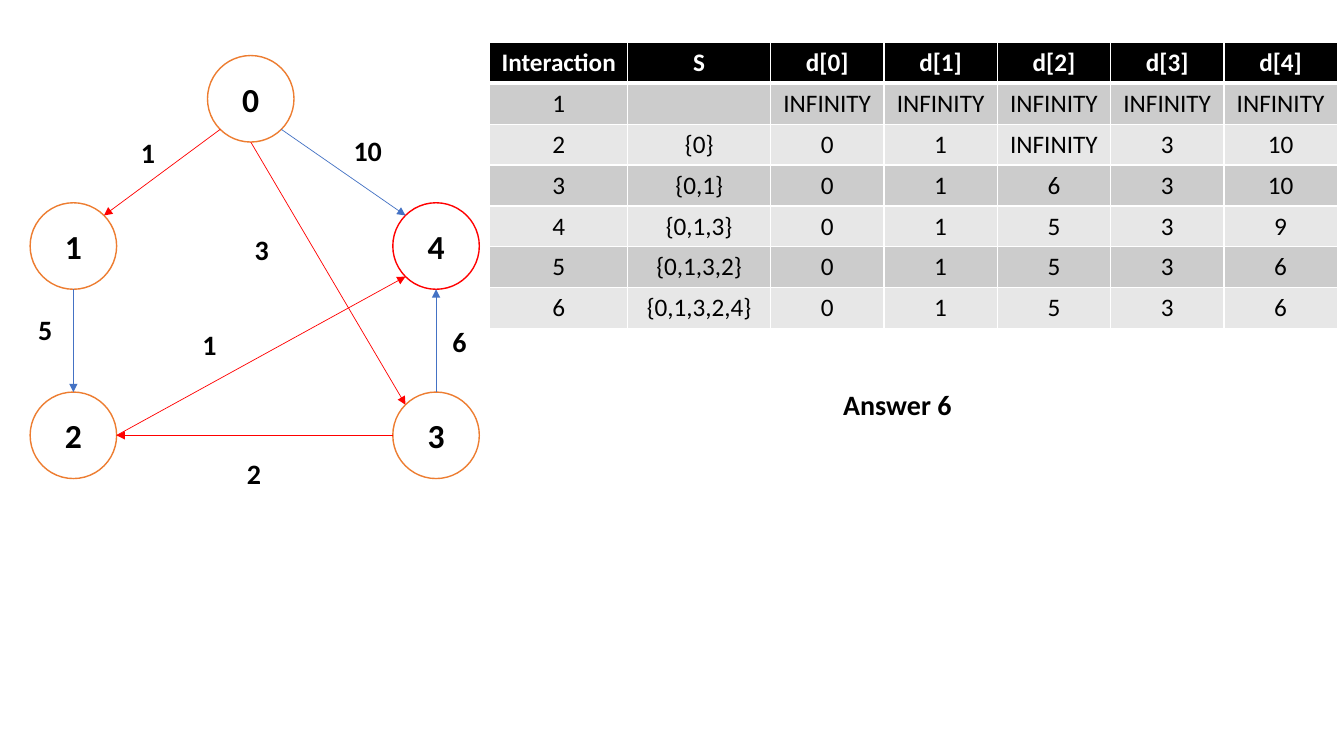
import math

import pptx
import pptx.dml.color
import pptx.enum.shapes
import pptx.enum.text
import pptx.oxml
import pptx.oxml.ns
import pptx.util
from pptx.util import Cm

COLORS = {"white": "FFFFFF", "black": "000000", "orange": "ED7D31", "red": "FF0000",
          "blue": "4472C4", "dark_band": "CCCCCC", "light_band": "E7E7E7"}
FONT = "Calibri"
ALIGN = pptx.enum.text.PP_ALIGN
ANCHOR = pptx.enum.text.MSO_ANCHOR

# Graph: node centres, edges with their end angles, and weights, in cm
RADIUS = 1.09
NODES = {"0": (5.56, 1.09, "orange"), "1": (1.09, 4.8, "orange"), "4": (10.23, 4.8, "red"),
         "2": (1.09, 9.57, "orange"), "3": (10.23, 9.57, "orange")}
EDGES = [("0", 135, "1", -45, "red"), ("0", 45, "4", -135, "blue"),
         ("1", 90, "2", -90, "blue"), ("2", 0, "4", 135, "red"),
         ("0", 90, "3", -135, "red"), ("3", 180, "2", 0, "red"),
         ("3", -90, "4", 90, "blue")]
WEIGHTS = [("1", 2.54, 1.9), ("10", 7.9, 1.85), ("3", 5.41, 4.34), ("5", -0.05, 6.35),
           ("1", 4.09, 6.73), ("2", 5.21, 9.98), ("6", 10.39, 6.65)]

# Distances after each step
INF = "INFINITY"
STEPS = [
    ["Interaction", "S"] + [f"d[{node}]" for node in range(5)],
    ["1", "", INF, INF, INF, INF, INF],
    ["2", "{0}", "0", "1", INF, "3", "10"],
    ["3", "{0,1}", "0", "1", "6", "3", "10"],
    ["4", "{0,1,3}", "0", "1", "5", "3", "9"],
    ["5", "{0,1,3,2}", "0", "1", "5", "3", "6"],
    ["6", "{0,1,3,2,4}", "0", "1", "5", "3", "6"],
]


def rgb(name):
    return pptx.dml.color.RGBColor.from_string(COLORS[name])


def write(frame, text, size, color="black", bold=True, align=ALIGN.CENTER):
    para = frame.paragraphs[0]
    para.alignment = align
    span = para.add_run()
    span.text = text
    span.font.name = FONT
    span.font.size = pptx.util.Pt(size)
    span.font.bold = bold
    span.font.color.rgb = rgb(color)


def add_label(page, text, left, top, width):
    label = page.shapes.add_textbox(Cm(left), Cm(top), Cm(width), Cm(1.12))
    label.text_frame.word_wrap = False
    label.text_frame.auto_size = pptx.enum.text.MSO_AUTO_SIZE.SHAPE_TO_FIT_TEXT
    write(label.text_frame, text, 20, align=ALIGN.LEFT)


def add_edge(page, start, end, color):
    edge = page.shapes.add_connector(pptx.enum.shapes.MSO_CONNECTOR.STRAIGHT,
                                     *(Cm(value) for value in start + end))
    edge.line.color.rgb = rgb(color)
    edge.line.width = pptx.util.Pt(0.5)
    head = pptx.oxml.parse_xml(
        f'<a:tailEnd {pptx.oxml.ns.nsdecls("a")} type="triangle"/>')
    edge.line._get_or_add_ln().append(head)
    edge._element.spPr.append(
        pptx.oxml.parse_xml(f'<a:effectLst {pptx.oxml.ns.nsdecls("a")}/>'))


def draw_graph(page, box):
    left, top = box

    def rim(node, angle):
        x, y, _ = NODES[node]
        turn = math.radians(angle)
        return (left + x + RADIUS * math.cos(turn), top + y + RADIUS * math.sin(turn))

    # Nodes
    for name, (x, y, color) in NODES.items():
        node = page.shapes.add_shape(pptx.enum.shapes.MSO_SHAPE.OVAL,
                                     Cm(left + x - RADIUS), Cm(top + y - RADIUS),
                                     Cm(2 * RADIUS), Cm(2 * RADIUS))
        node.shadow.inherit = False
        node.fill.solid()
        node.fill.fore_color.rgb = rgb("white")
        node.line.color.rgb = rgb(color)
        node.line.width = pptx.util.Pt(1)
        node.text_frame.vertical_anchor = ANCHOR.MIDDLE
        write(node.text_frame, name, 24)

    # Edges and weights
    for source, leave, target, arrive, color in EDGES:
        add_edge(page, rim(source, leave), rim(target, arrive), color)
    for weight, x, y in WEIGHTS:
        add_label(page, weight, left + x, top + y, 0.5 + 0.37 * len(weight))


def set_borders(cell, row):
    thick = {0: "lnB", 1: "lnT"}.get(row)
    for index, side in enumerate(("lnL", "lnR", "lnT", "lnB")):
        width = pptx.util.Pt(3 if side == thick else 1)
        border = pptx.oxml.parse_xml(
            f'<a:{side} {pptx.oxml.ns.nsdecls("a")} w="{width}"><a:solidFill>'
            f'<a:srgbClr val="{COLORS["white"]}"/></a:solidFill></a:{side}>')
        cell._tc.get_or_add_tcPr().insert(index, border)


def draw_table(page, box):
    left, top, width, height = box
    rows, columns = len(STEPS), len(STEPS[0])
    table = page.shapes.add_table(rows, columns, Cm(left), Cm(top),
                                  Cm(width), Cm(height)).table
    first, second = 3.48, 3.6
    distance = (width - first - second) / (columns - 2)
    for column, size in zip(table.columns, [first, second] + [distance] * (columns - 2)):
        column.width = Cm(size)
    for row, values in enumerate(STEPS):
        table.rows[row].height = Cm(height / rows)
        header = row == 0
        fill = "black" if header else ("dark_band" if row % 2 else "light_band")
        for column, value in enumerate(values):
            cell = table.cell(row, column)
            cell.fill.solid()
            cell.fill.fore_color.rgb = rgb(fill)
            set_borders(cell, row)
            if value:
                write(cell.text_frame, value, 18, "white" if header else "black", header)


def draw_answer(page, box):
    left, top, width = box
    add_label(page, "Answer 6", left, top, width)


deck = pptx.Presentation()
deck.slide_width, deck.slide_height = Cm(33.87), Cm(19.05)
page = deck.slides.add_slide(deck.slide_layouts[6])
draw_graph(page, (0.76, 1.4))
draw_table(page, (12.34, 1.07, 21.36, 7.21))
draw_answer(page, (21, 9.65, 3.28))
deck.save("out.pptx")
